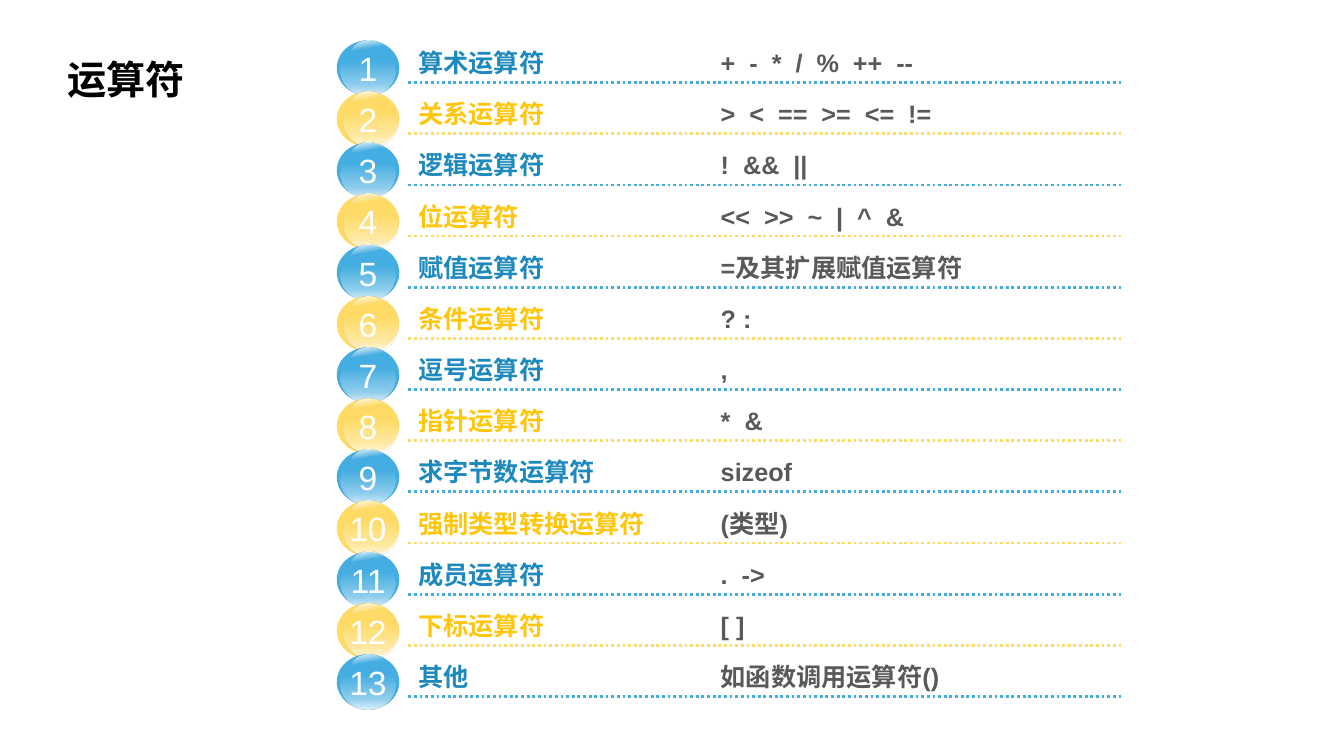
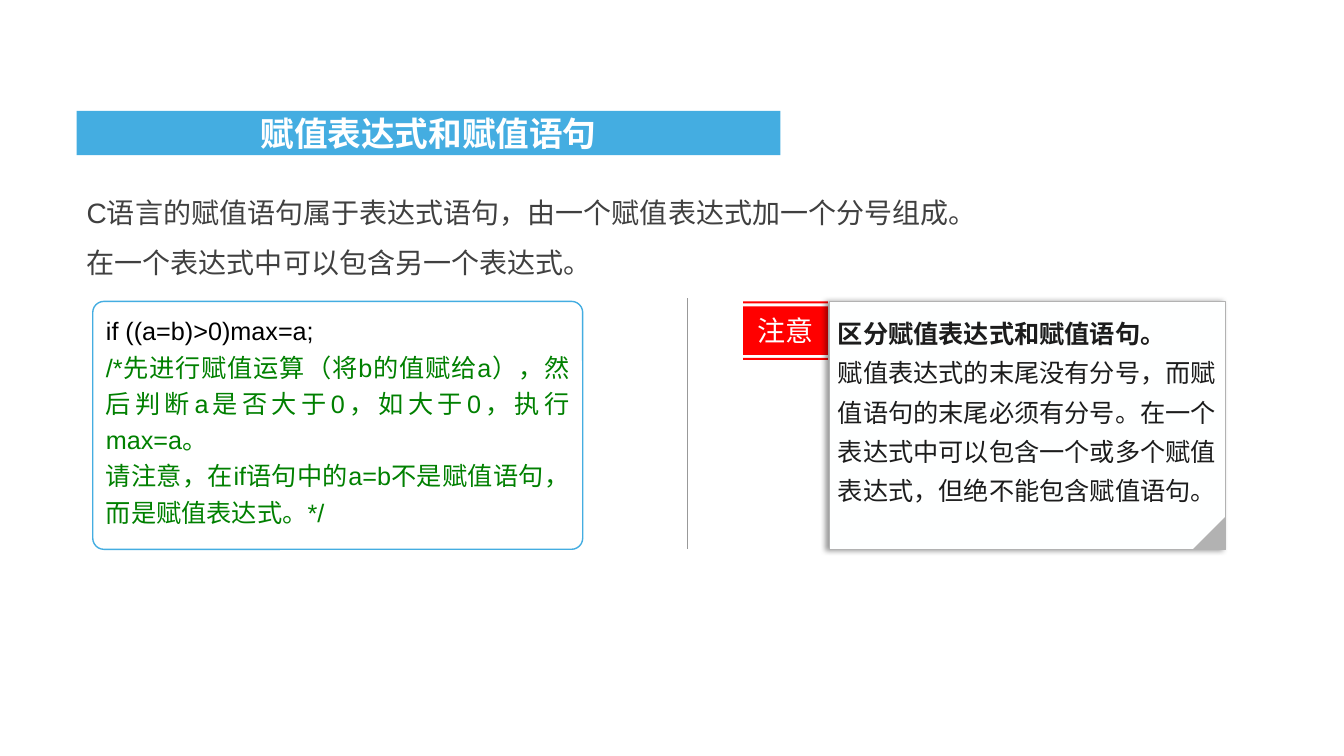
from lxml.etree import SubElement
from pptx import Presentation
from pptx.dml.color import RGBColor
from pptx.enum.dml import MSO_LINE
from pptx.enum.shapes import MSO_CONNECTOR as Connector, MSO_SHAPE as Preset
from pptx.enum.text import MSO_ANCHOR as Anchor, MSO_AUTO_SIZE as AutoSize, PP_ALIGN as Align
from pptx.oxml import parse_xml
from pptx.oxml.ns import nsdecls, qn
from pptx.util import Inches, Pt

LATIN, CHINESE = "Arial", "Noto Sans CJK SC"
BLUE, YELLOW = "44ADE1", "FFDB65"
DARK_BLUE, DARK_YELLOW = "1E89BD", "FFC60C"
WHITE, PAPER, BLACK, INK = "FFFFFF", "FEFFFF", "000000", "1C1C1C"
GRAY, TEXT_GRAY, OPERATOR_GRAY, RULE_GRAY = "B2B2B2", "404040", "595959", "999999"
RED, GREEN = "FF0000", "008000"

OPERATORS_TITLE = "运算符"
OPERATORS = [
    ("算术运算符", "+  -  *  /  %  ++  --"),
    ("关系运算符", ">  <  ==  >=  <=  !="),
    ("逻辑运算符", "!  &&  ||"),
    ("位运算符", "<<  >>  ~  |  ^  &"),
    ("赋值运算符", "=及其扩展赋值运算符"),
    ("条件运算符", "? :"),
    ("逗号运算符", ","),
    ("指针运算符", "*  &"),
    ("求字节数运算符", "sizeof"),
    ("强制类型转换运算符", "(类型)"),
    ("成员运算符", ".  ->"),
    ("下标运算符", "[ ]"),
    ("其他", "如函数调用运算符()"),
]
ROW_COLORS = [(BLUE, DARK_BLUE), (YELLOW, DARK_YELLOW)]

ASSIGNMENT_TITLE = "赋值表达式和赋值语句"
ASSIGNMENT_POINTS = [
    "C语言的赋值语句属于表达式语句，由一个赋值表达式加一个分号组成。",
    "在一个表达式中可以包含另一个表达式。",
]
CODE = [
    ("if ((a=b)>0)max=a;", BLACK),
    ("/*先进行赋值运算（将b的值赋给a），然后判断a是否大于0，如大于0，执行max=a。", GREEN),
    ("请注意，在if语句中的a=b不是赋值语句，而是赋值表达式。*/", GREEN),
]
NOTE_LABEL = "注意"
NOTE = [
    ("区分赋值表达式和赋值语句。", True),
    ("赋值表达式的末尾没有分号，而赋值语句的末尾必须有分号。"
     "在一个表达式中可以包含一个或多个赋值表达式，但绝不能包含赋值语句。", False),
]

# Gradient stops: position %, opacity %
HIGHLIGHT = [(0, 0), (16, 88), (30, 0)]
SHEEN = [(28, 0), (78, 41), (98, 79)]

ROW_TOP, ROW_PITCH = 0.4, 6.09 / 12
RULE_LEFT, RULE_RIGHT, RULE_DROP = 4.05, 11.14, 0.42
LABEL_HEIGHT, OPERATOR_TAB = 0.38, 3
PANEL_TOP, PANEL_HEIGHT = 2.99, 2.46


def rgb(value):
    return RGBColor.from_string(value)


def inches(*lengths):
    return [Inches(length) for length in lengths]


def write(shape, paragraphs, size, anchor=Anchor.TOP, align=Align.LEFT,
          spacing=1.0, insets=(0.1, 0.05, 0.1, 0.05), latin=LATIN):
    """Fill a shape with paragraphs, each a list of (text, colour, bold) runs."""
    frame = shape.text_frame
    frame.word_wrap = True
    frame.auto_size = AutoSize.NONE
    frame.vertical_anchor = anchor
    (frame.margin_left, frame.margin_top,
     frame.margin_right, frame.margin_bottom) = inches(*insets)
    for index, runs in enumerate(paragraphs):
        paragraph = frame.add_paragraph() if index else frame.paragraphs[0]
        paragraph.alignment = align
        paragraph.line_spacing = spacing
        paragraph.space_before = Pt(0)
        for text, color, bold in runs:
            run = paragraph.add_run()
            run.text = text
            run.font.size = Pt(size)
            run.font.bold = bold
            run.font.name = latin
            run.font.color.rgb = rgb(color)
            SubElement(run.font._element, qn("a:ea"), typeface=CHINESE)


def paint(shape, fill, line=None, width=1):
    shape.shadow.inherit = False
    shape.fill.solid()
    shape.fill.fore_color.rgb = rgb(fill)
    if line:
        shape.line.color.rgb = rgb(line)
        shape.line.width = Pt(width)
    else:
        shape.line.fill.background()
    return shape


def add_panel(shapes, preset, box, fill, line=None, width=1):
    return paint(shapes.add_shape(preset, *inches(*box)), fill, line, width)


def add_gloss(shapes, box, stops, angle, rotation=0):
    """Add a white ellipse that fades according to the stops."""
    gloss = add_panel(shapes, Preset.OVAL, box, WHITE)
    gloss.rotation = rotation
    stop_xml = "".join(
        f'<a:gs pos="{position * 1000}"><a:srgbClr val="{WHITE}">'
        f'<a:alpha val="{opacity * 1000}"/></a:srgbClr></a:gs>'
        for position, opacity in stops)
    gradient = parse_xml(
        f'<a:gradFill {nsdecls("a")} rotWithShape="1"><a:gsLst>{stop_xml}</a:gsLst>'
        f'<a:lin ang="{angle * 60000}" scaled="0"/></a:gradFill>')
    properties = gloss._element.spPr
    properties.replace(properties.find(qn("a:solidFill")), gradient)


def add_rule(shapes, start, end, color, width, dash=None):
    rule = shapes.add_connector(Connector.STRAIGHT, *inches(*start, *end))
    rule.line.color.rgb = rgb(color)
    rule.line.width = Pt(width)
    if dash:
        rule.line.dash_style = dash
    SubElement(rule._element.spPr, qn("a:effectLst"))


def place(shape, box):
    shape.left, shape.top, shape.width, shape.height = inches(*box)
    return shape


def add_operator_row(slide, index, label, operators):
    ball_color, label_color = ROW_COLORS[index % 2]
    top = ROW_TOP + index * ROW_PITCH
    rule_y = top + RULE_DROP
    shapes = slide.shapes.add_group_shape().shapes

    ball = add_panel(shapes, Preset.OVAL, (3.34, top, 0.62, 0.55), ball_color)
    write(ball, [[(str(index + 1), WHITE, False)]], 24, Anchor.MIDDLE, Align.CENTER,
          insets=(0, 0.05, 0, 0.05))
    add_rule(shapes, (RULE_LEFT, rule_y), (RULE_RIGHT, rule_y), ball_color, 2,
             MSO_LINE.ROUND_DOT)
    add_gloss(shapes, (3.38 + 0.03 * (index % 2), top + 0.07, 0.54, 0.48), SHEEN, 90)
    add_gloss(shapes, (3.45, top + 0.02, 0.51, 0.41), HIGHLIGHT, 45, 35.7)

    text = shapes.add_textbox(*inches(
        RULE_LEFT, rule_y - LABEL_HEIGHT, RULE_RIGHT - RULE_LEFT, LABEL_HEIGHT))
    write(text, [[(label + "\t", label_color, True), (operators, OPERATOR_GRAY, True)]],
          18, Anchor.BOTTOM)
    properties = text.text_frame.paragraphs[0]._p.get_or_add_pPr()
    tabs = SubElement(properties, qn("a:tabLst"))
    SubElement(tabs, qn("a:tab"), pos=str(Inches(OPERATOR_TAB)), algn="l")


def build_operators(presentation):
    slide = presentation.slides.add_slide(presentation.slide_layouts[5])
    title = place(slide.shapes.title, (0.57, 0.18, 2.28, 0.89))
    write(title, [[(OPERATORS_TITLE, BLACK, True)]], 28, Anchor.BOTTOM, spacing=0.9)
    for index, (label, operators) in enumerate(OPERATORS):
        add_operator_row(slide, index, label, operators)


def add_note_label(shapes):
    """Draw the red label: a block between two thin bars, as one outline."""
    left, right = inches(7.37, 8.21)
    bands = [inches(*band) for band in ((2.99, 3.01), (3.04, 3.52), (3.55, 3.57))]
    builder = shapes.build_freeform(left, bands[0][0])
    for index, (top, bottom) in enumerate(bands):
        if index:
            builder.move_to(left, top)
        builder.add_line_segments([(right, top), (right, bottom), (left, bottom)])
    label = paint(builder.convert_to_shape(), RED)
    write(label, [[(NOTE_LABEL, PAPER, False)]], 20, Anchor.MIDDLE, Align.CENTER)


def add_note(shapes):
    left, width, fold = 8.23, 3.93, 0.33
    note = add_panel(shapes, Preset.RECTANGLE, (left, PANEL_TOP, width, PANEL_HEIGHT),
                     PAPER, GRAY, 0.75)
    effects = note._element.spPr.find(qn("a:effectLst"))
    effects.append(parse_xml(
        f'<a:outerShdw {nsdecls("a")} blurRad="{Pt(4)}" dist="{Pt(3)}" dir="10800000" '
        f'algn="r" rotWithShape="0"><a:srgbClr val="{BLACK}">'
        '<a:alpha val="40000"/></a:srgbClr></a:outerShdw>'))
    write(note, [[(text, INK, bold)] for text, bold in NOTE], 18, spacing=1.3,
          insets=(0.08,) * 4)
    corner = add_panel(shapes, Preset.RIGHT_TRIANGLE,
                       (left + width - fold, PANEL_TOP + PANEL_HEIGHT - fold, fold, fold),
                       GRAY)
    corner.rotation = 270


def build_assignment(presentation):
    slide = presentation.slides.add_slide(presentation.slide_layouts[1])
    shapes = slide.shapes
    title = place(shapes.title, (0.76, 1.1, 6.98, 0.44))
    title.fill.solid()
    title.fill.fore_color.rgb = rgb(BLUE)
    write(title, [[(ASSIGNMENT_TITLE, WHITE, True)]], 24, Anchor.MIDDLE, Align.CENTER,
          insets=(0,) * 4, latin=CHINESE)

    body = place(slide.placeholders[1], (0.76, 1.72, 10.45, 1.11))
    write(body, [[(point, TEXT_GRAY, False)] for point in ASSIGNMENT_POINTS], 20,
          spacing=1.5)
    for paragraph in body.text_frame.paragraphs:
        properties = paragraph._p.get_or_add_pPr()
        properties.set("marL", "0")
        properties.set("indent", "0")
        SubElement(properties, qn("a:buNone"))

    code = add_panel(shapes, Preset.ROUNDED_RECTANGLE,
                     (0.92, PANEL_TOP, 4.86, PANEL_HEIGHT), WHITE, BLUE)
    code.adjustments[0] = 0.045
    write(code, [[(text, color, False)] for text, color in CODE], 18,
          align=Align.JUSTIFY, spacing=1.2)
    add_note_label(shapes)
    add_note(shapes)
    add_rule(shapes, (6.82, 2.96), (6.82, PANEL_TOP + PANEL_HEIGHT), RULE_GRAY, 0.5)


def main():
    presentation = Presentation()
    presentation.slide_width, presentation.slide_height = inches(13.33, 7.5)
    build_operators(presentation)
    build_assignment(presentation)
    presentation.save("out.pptx")


if __name__ == "__main__":
    main()
